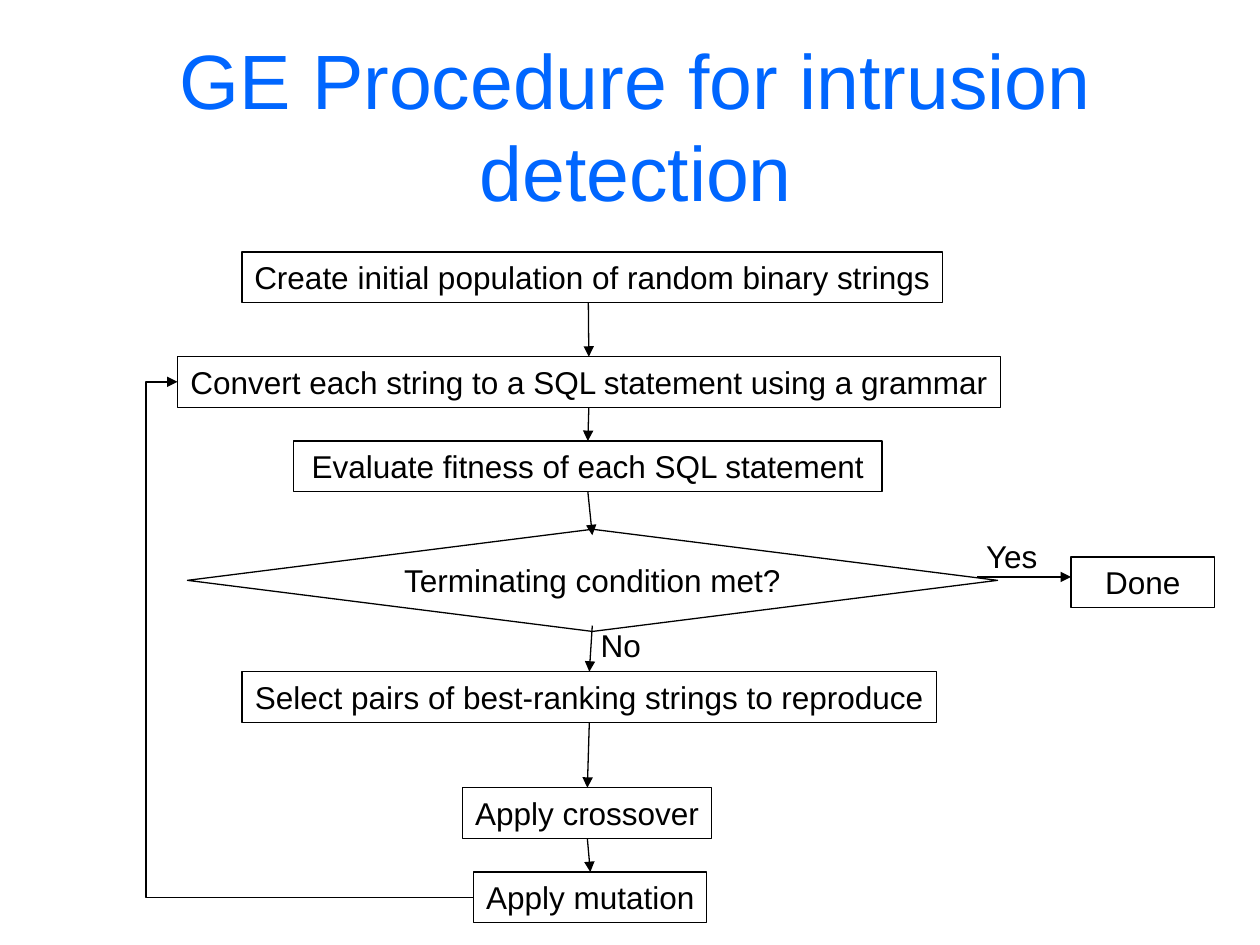
from lxml import etree
from pptx import Presentation
from pptx.dml.color import RGBColor
from pptx.enum.shapes import MSO_CONNECTOR, MSO_SHAPE
from pptx.enum.text import MSO_ANCHOR, PP_ALIGN
from pptx.oxml.ns import qn
from pptx.util import Cm, Pt

RECT, DECISION = MSO_SHAPE.RECTANGLE, MSO_SHAPE.FLOWCHART_DECISION
STRAIGHT, ELBOW = MSO_CONNECTOR.STRAIGHT, MSO_CONNECTOR.ELBOW
LEFT, CENTER = PP_ALIGN.LEFT, PP_ALIGN.CENTER
MIDDLE, BOTTOM = MSO_ANCHOR.MIDDLE, MSO_ANCHOR.BOTTOM

BLACK, BLUE = "000000", "0066FF"
ROW_HEIGHT = 1.02

TITLE = ("GE Procedure for intrusion detection", 1.07, 1.32, 23.5, 3.18)

# text, preset, left, top, width, height, arrow axis, arrow overlap
STEPS = [
    ("Create initial population of random binary strings", RECT, 4.88, 5.08, 14.12, ROW_HEIGHT, 11.86, 0),
    ("Convert each string to a SQL statement using a grammar", RECT, 3.58, 7.19, 16.59, ROW_HEIGHT, 11.87, 0),
    ("Evaluate fitness of each SQL statement", RECT, 5.92, 8.89, 11.86, ROW_HEIGHT, 11.85, 0),
    ("Terminating condition met?", DECISION, 3.78, 10.67, 16.33, 2.06, 11.94, 0.12),
    ("Select pairs of best-ranking strings to reproduce", RECT, 4.88, 13.54, 14, ROW_HEIGHT, 11.88, 0),
    ("Apply crossover", RECT, 9.32, 15.88, 5.03, ROW_HEIGHT, 11.84, 0),
    ("Apply mutation", RECT, 9.55, 17.58, 4.7, ROW_HEIGHT, 11.9, 0),
]
DONE = ("Done", RECT, 21.59, 11.23, 2.9, ROW_HEIGHT)
BRANCH_LABELS = [("Yes", 19.63, 10.69, 1.6), ("No", 11.86, 12.5, 1.32)]
YES_ARROW = (19.69, 11.63, 21.59, 11.63)
LOOP_BEND = 110600


def color(value):
    return RGBColor.from_string(value)


def write(shape, text, size=18, ink=BLACK, align=CENTER, anchor=MIDDLE, wrap=False):
    frame = shape.text_frame
    frame.word_wrap = wrap
    frame.vertical_anchor = anchor
    paragraph = frame.paragraphs[0]
    paragraph.text = text
    paragraph.alignment = align
    paragraph.font.name = "Arial"
    paragraph.font.size = Pt(size)
    paragraph.font.color.rgb = color(ink)


def add_label(slide, text, left, top, width, height, **style):
    label = slide.shapes.add_textbox(Cm(left), Cm(top), Cm(width), Cm(height))
    write(label, text, **style)


def add_step(slide, text, preset, left, top, width, height):
    step = slide.shapes.add_shape(preset, Cm(left), Cm(top), Cm(width), Cm(height))
    step.shadow.inherit = False
    step.fill.background()
    step.line.color.rgb = color(BLACK)
    step.line.width = Pt(0.75)
    write(step, text)


def add_arrow(slide, x1, y1, x2, y2, kind=STRAIGHT, bend=None):
    arrow = slide.shapes.add_connector(kind, Cm(x1), Cm(y1), Cm(x2), Cm(y2))
    arrow.line.color.rgb = color(BLACK)
    arrow.line.width = Pt(0.75)
    properties = arrow._element.spPr
    etree.SubElement(properties.find(qn("a:ln")), qn("a:tailEnd"), type="triangle")
    etree.SubElement(properties, qn("a:effectLst"))
    if bend is not None:
        adjustments = properties.find(qn("a:prstGeom")).find(qn("a:avLst"))
        etree.SubElement(adjustments, qn("a:gd"), name="adj1", fmla=f"val {bend}")


def main():
    deck = Presentation()
    deck.slide_width, deck.slide_height = Cm(25.4), Cm(19.05)
    slide = deck.slides.add_slide(deck.slide_layouts[6])

    add_label(slide, *TITLE, size=44, ink=BLUE, anchor=BOTTOM, wrap=True)
    for *box, _, _ in STEPS:
        add_step(slide, *box)
    add_step(slide, *DONE)

    for above, below in zip(STEPS, STEPS[1:]):
        _, _, _, top, _, height, start_x, start_overlap = above
        _, _, _, end_top, _, _, end_x, end_overlap = below
        add_arrow(slide, start_x, top + height - start_overlap,
                  end_x, end_top + end_overlap)
    add_arrow(slide, *YES_ARROW)

    convert, mutation = STEPS[1], STEPS[-1]
    add_arrow(slide, mutation[2], mutation[3] + ROW_HEIGHT / 2,
              convert[2], convert[3] + ROW_HEIGHT / 2, kind=ELBOW, bend=LOOP_BEND)

    for text, left, top, width in BRANCH_LABELS:
        add_label(slide, text, left, top, width, ROW_HEIGHT, align=LEFT)

    deck.save("out.pptx")


if __name__ == "__main__":
    main()
